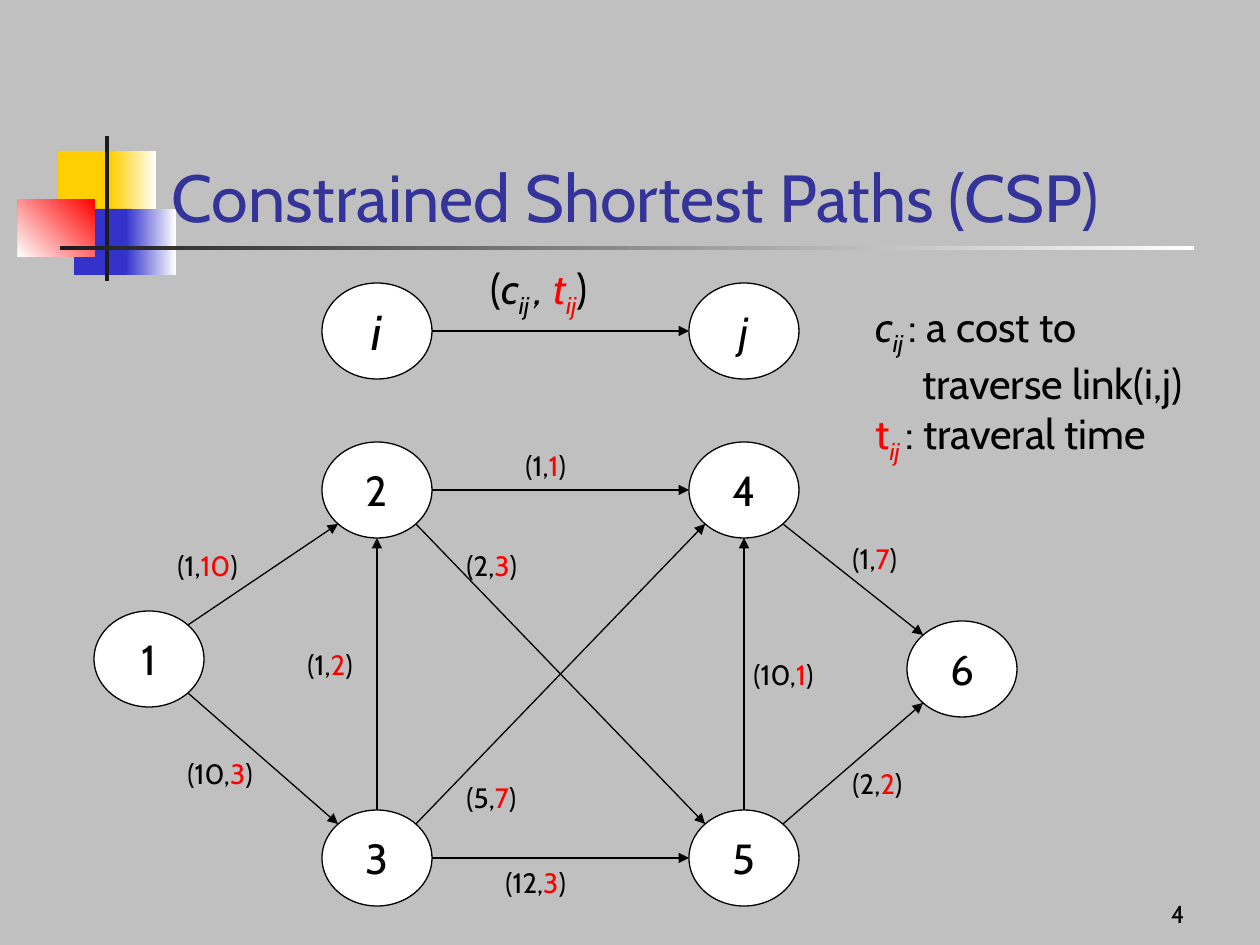
import math

from lxml import etree
from pptx import Presentation
from pptx import util as u
from pptx.dml.color import RGBColor
from pptx.enum import shapes, text
from pptx.oxml.ns import qn

PX = u.Inches(1) / 126
FONT = "Cabin"
COLORS = {
    "background": "C0C0C0", "title": "333399", "ink": "000000",
    "red": "FF0000", "white": "FFFFFF", "yellow": "FFCF01",
    "blue": "3333CC", "dark": "1C1C1C",
}
NODE_W, NODE_H = 110, 96

# name: (left, top, text size, italic flag)
NODES = {
    "1": (94, 611, 24, ""), "2": (322, 442, 24, ""), "3": (322, 810, 24, ""),
    "4": (689, 442, 24, ""), "5": (689, 810, 24, ""), "6": (907, 621, 24, ""),
    "i": (322, 283, 28, "i"), "j": (689, 283, 24, "i"),
}
# start, end, cost, time, label left, label top
EDGES = [
    ("1", "2", 1, 10, 165, 542), ("2", "4", 1, 1, 513, 442),
    ("3", "5", 12, 3, 493, 859), ("4", "6", 1, 7, 840, 535),
    ("5", "6", 2, 2, 840, 760), ("3", "2", 1, 2, 295, 641),
    ("1", "3", 10, 3, 175, 750), ("3", "4", 5, 7, 454, 774),
    ("2", "5", 2, 3, 454, 542), ("5", "4", 10, 1, 741, 651),
]
# left, top, width, height, fill colours (one or two), gradient angle
ORNAMENT = [
    (58, 151, 60, 66, ["yellow"], 0),
    (111, 151, 45, 66, ["white", "yellow"], 180),
    (74, 209, 58, 66, ["blue"], 0),
    (126, 209, 50, 66, ["white", "blue"], 180),
    (18, 199, 77, 58, ["red", "white"], 225),
    (105, 136, 4, 145, ["dark"], 0),
    (60, 246, 1134, 4, ["white", "dark"], 180),
]
# Span flags: i italic, r red, s subscript
LINK_LABEL = [[("(", ""), ("c", "i"), ("ij ", "is"), (", ", "i"),
               ("t", "ir"), ("ij", "irs"), (")", "")]]
LEGEND = [
    [("c", "i"), ("ij ", "is"), (": a cost to", "")],
    [("traverse link(i,j)", "")],
    [("t", "r"), ("ij ", "irs"), (": traveral time", "")],
]


def px(*lengths):
    return [u.Emu(round(length * PX)) for length in lengths]


def rgb(name):
    return RGBColor.from_string(COLORS[name])


def rim_point(name, toward):
    """Point on a node's rim, at the nearest of eight compass directions."""
    left, top = NODES[name][:2]
    dx, dy = NODES[toward][0] - left, NODES[toward][1] - top
    angle = math.atan2((dy > 0) - (dy < 0), (dx > 0) - (dx < 0))
    return (left + NODE_W / 2 * (1 + math.cos(angle)),
            top + NODE_H / 2 * (1 + math.sin(angle)))


class SlideBuilder:
    def __init__(self, slide):
        self.slide = slide
        self.shapes = slide.shapes
        slide.background.fill.solid()
        slide.background.fill.fore_color.rgb = rgb("background")

    def add_lines(self, frame, lines, size, align=text.PP_ALIGN.LEFT, color="ink"):
        """Fill a text frame with lines, each a list of (text, flags)."""
        for number, spans in enumerate(lines):
            para = frame.add_paragraph() if number else frame.paragraphs[0]
            para.alignment = align
            for words, flags in spans:
                span = para.add_run()
                span.text = words
                span.font.name = FONT
                span.font.size = u.Pt(size)
                span.font.italic = "i" in flags
                span.font.color.rgb = rgb("red" if "r" in flags else color)
                if "s" in flags:
                    span.font._element.set("baseline", "-25000")

    def title(self, words, *place):
        box = self.shapes.title
        box.left, box.top, box.width, box.height = px(*place)
        frame = box.text_frame
        frame.auto_size = text.MSO_AUTO_SIZE.NONE
        frame.vertical_anchor = text.MSO_ANCHOR.BOTTOM
        self.add_lines(frame, [[(words, "")]], 38, color="title")
        self.shapes._spTree.append(box._element)  # above the ornament

    def block(self, left, top, width, height, colors, angle):
        box = self.shapes.add_shape(shapes.MSO_SHAPE.RECTANGLE,
                                    *px(left, top, width, height))
        box.shadow.inherit = False
        box.line.fill.background()
        if len(colors) == 1:
            box.fill.solid()
            box.fill.fore_color.rgb = rgb(colors[0])
            return
        box.fill.gradient()
        box.fill.gradient_angle = angle
        for stop, color, position in zip(box.fill.gradient_stops, colors, (0, 1)):
            stop.color.rgb = rgb(color)
            stop.position = position

    def node(self, name, left, top, size, flags):
        oval = self.shapes.add_shape(shapes.MSO_SHAPE.OVAL,
                                     *px(left, top, NODE_W, NODE_H))
        oval.shadow.inherit = False
        oval.fill.solid()
        oval.fill.fore_color.rgb = rgb("white")
        oval.line.color.rgb = rgb("ink")
        oval.line.width = u.Pt(0.75)
        oval.text_frame.word_wrap = False
        oval.text_frame.vertical_anchor = text.MSO_ANCHOR.MIDDLE
        self.add_lines(oval.text_frame, [[(name, flags)]], size, text.PP_ALIGN.CENTER)

    def arrow(self, start, end):
        line = self.shapes.add_connector(
            shapes.MSO_CONNECTOR.STRAIGHT,
            *px(*rim_point(start, end), *rim_point(end, start)))
        line.line.color.rgb = rgb("ink")
        line.line.width = u.Pt(0.75)
        etree.SubElement(line.line._get_or_add_ln(), qn("a:tailEnd"), type="triangle")
        etree.SubElement(line._element.spPr, qn("a:effectLst"))

    def label(self, lines, size, left, top, width, height, wrap=False,
              align=text.PP_ALIGN.LEFT, anchor=text.MSO_ANCHOR.TOP):
        box = self.shapes.add_textbox(*px(left, top, width, height))
        box.text_frame.word_wrap = wrap
        box.text_frame.vertical_anchor = anchor
        self.add_lines(box.text_frame, lines, size, align)
        return box


def main():
    deck = Presentation()
    deck.slide_width, deck.slide_height = u.Inches(10), u.Inches(7.5)
    page = SlideBuilder(deck.slides.add_slide(deck.slide_layouts[5]))

    for block in ORNAMENT:
        page.block(*block)
    page.title("Constrained Shortest Paths (CSP)", 159, 84, 1074, 158)

    for name, node in NODES.items():
        page.node(name, *node)
    page.arrow("i", "j")
    for start, end, cost, time, left, top in EDGES:
        page.arrow(start, end)
        spans = [(f"({cost},", ""), (str(time), "r"), (")", "")]
        width = 97 if max(cost, time) > 9 else 81
        page.label([spans], 16, left, top, width, 47)

    page.label(LINK_LABEL, 24, 478, 256, 136, 71)
    legend = page.label(LEGEND, 24, 863, 294, 397, 178, wrap=True)
    indent = px(47)[0]
    legend.text_frame.paragraphs[1]._p.get_or_add_pPr().set("marL", str(indent))
    page.label([[("4", "")]], 14, 935, 872, 262, 63, wrap=True,
               align=text.PP_ALIGN.RIGHT, anchor=text.MSO_ANCHOR.BOTTOM)
    deck.save("out.pptx")


if __name__ == "__main__":
    main()
